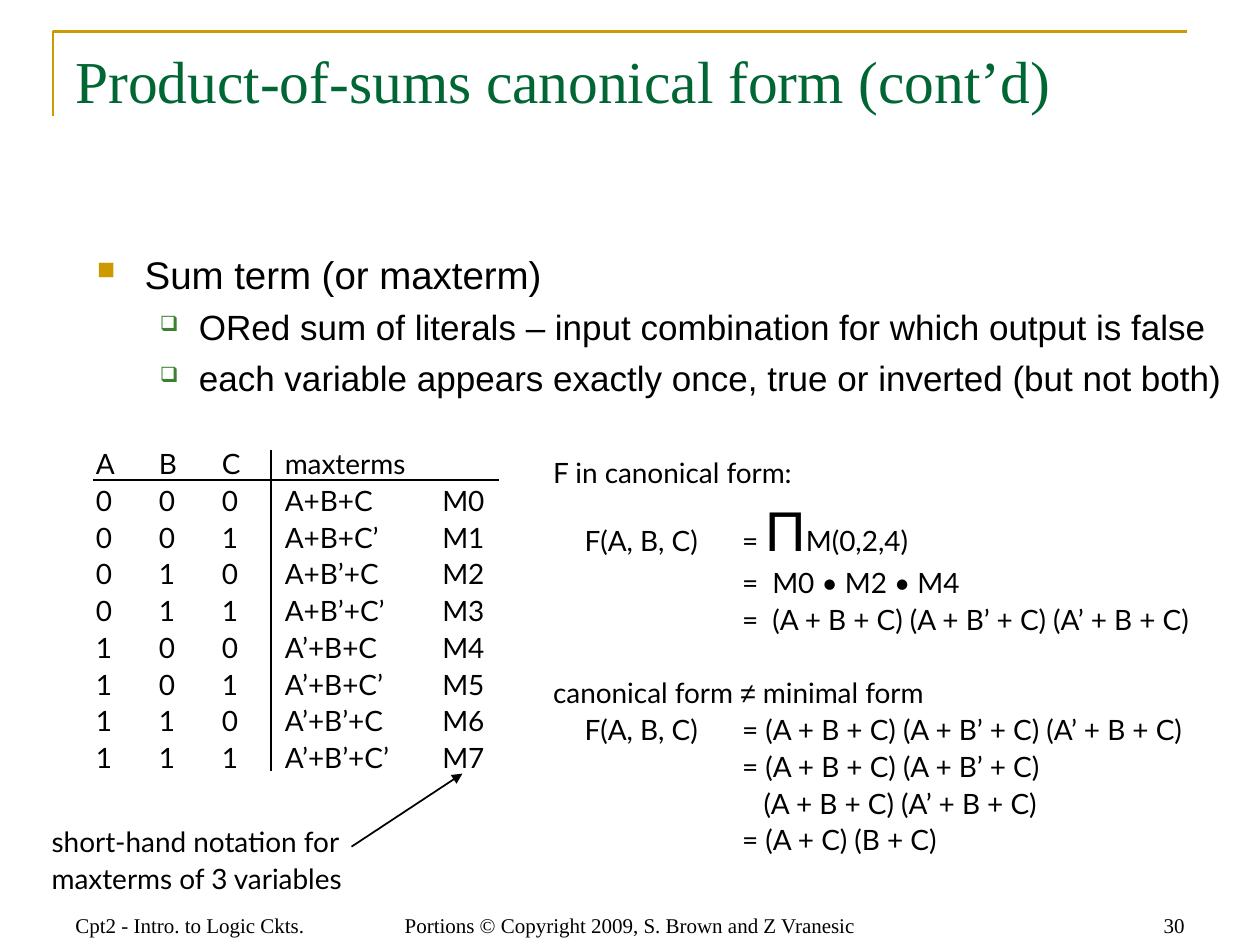
from lxml.etree import SubElement
from pptx import Presentation
from pptx.dml.color import RGBColor
from pptx.enum.shapes import MSO_CONNECTOR as Connector
from pptx.enum.text import MSO_ANCHOR as Anchor, PP_ALIGN as Align
from pptx.oxml.ns import qn
from pptx.util import Inches, Pt

COLORS = {"ink": "000000", "title": "006633", "gold": "CC9900", "green": "3B812F"}
SERIF, SANS, BODY = "Times New Roman", "Arial", "Lato"
LINE_PITCH = 21


def color(name):
    return RGBColor.from_string(COLORS[name])


def add_frame(slide, box, insets=(0.1, 0.05), anchor=Anchor.TOP):
    shape = slide.shapes.add_textbox(*map(Inches, box))
    frame = shape.text_frame
    frame.word_wrap = True
    frame.vertical_anchor = anchor
    frame.margin_left = frame.margin_right = Inches(insets[0])
    frame.margin_top = frame.margin_bottom = Inches(insets[1])
    return frame


def next_paragraph(frame):
    first = frame.paragraphs[0]
    return frame.add_paragraph() if first.runs else first


def add_run(paragraph, text, size, font, ink="ink"):
    run = paragraph.add_run()
    run.text = text
    run.font.size = Pt(size)
    run.font.name = font
    run.font.color.rgb = color(ink)


def add_bullet(paragraph, character, ink, percent, margin, indent):
    properties = paragraph._p.get_or_add_pPr()
    properties.set("marL", str(Inches(margin)))
    properties.set("indent", str(Inches(indent)))
    bullet_color = SubElement(properties, qn("a:buClr"))
    SubElement(bullet_color, qn("a:srgbClr"), val=COLORS[ink])
    SubElement(properties, qn("a:buSzPct"), val=str(percent * 1000))
    SubElement(properties, qn("a:buChar"), char=character)


def add_tabs(paragraph, stops):
    tabs = SubElement(paragraph._p.get_or_add_pPr(), qn("a:tabLst"))
    for stop in stops:
        SubElement(tabs, qn("a:tab"), pos=str(Inches(stop)), algn="l")


def add_line(slide, start, end, arrow=False):
    line = slide.shapes.add_connector(
        Connector.STRAIGHT, *map(Inches, (*start, *end)))
    line.line.color.rgb = color("ink")
    line.line.width = Pt(1)
    if arrow:
        SubElement(line.line._get_or_add_ln(), qn("a:tailEnd"), type="triangle")
    SubElement(line._element.spPr, qn("a:effectLst"))


def add_lines(slide, box, lines, stops=()):
    frame = add_frame(slide, box, (0.02, 0.03))
    for runs, margin, gap in lines:
        paragraph = next_paragraph(frame)
        paragraph.line_spacing = Pt(LINE_PITCH)
        paragraph.space_before = Pt(gap)
        if margin:
            paragraph._p.get_or_add_pPr().set("marL", str(Inches(margin)))
        if stops:
            add_tabs(paragraph, stops)
        for text, size, font in runs:
            add_run(paragraph, text, size, font)


def plain(text, margin=0, gap=0):
    return [(text, 16, BODY)], margin, gap


def add_corner_rule(slide, box):
    left, top, width, height = map(Inches, box)
    builder = slide.shapes.build_freeform(left, top + height)
    builder.add_line_segments([(left, top), (left + width, top)], close=False)
    shape = builder.convert_to_shape()
    shape.shadow.inherit = False
    shape.fill.background()
    shape.line.color.rgb = color("gold")
    shape.line.width = Pt(1.5)


def add_title(slide, box):
    frame = add_frame(slide, box)
    add_run(frame.paragraphs[0], "Product-of-sums canonical form (cont’d)",
            34, SERIF, "title")


def add_footer(slide, box):
    left, top, width, height = box
    side = 2.33
    parts = [
        ("Cpt2 - Intro. to Logic Ckts.", left, side, Align.LEFT),
        ("Portions © Copyright 2009, S. Brown and Z Vranesic",
         left + side, width - 2 * side, Align.CENTER),
        ("30", left + width - side, side, Align.RIGHT),
    ]
    for text, part_left, part_width, alignment in parts:
        frame = add_frame(slide, (part_left, top, part_width, height),
                          anchor=Anchor.BOTTOM)
        frame.paragraphs[0].alignment = alignment
        add_run(frame.paragraphs[0], text, 12, SERIF)


def add_definition(slide, box):
    frame = add_frame(slide, box)
    top_level = (22, 5.5, ("■", "gold", 65, 0.38, -0.38))
    sub_level = (20, 5, ("❑", "green", 60, 0.81, -0.31))
    items = [
        ("Sum term (or maxterm)", top_level),
        ("ORed sum of literals – input combination for which output is false",
         sub_level),
        ("each variable appears exactly once, true or inverted (but not both)",
         sub_level),
    ]
    for text, (size, gap, bullet) in items:
        paragraph = next_paragraph(frame)
        paragraph.level = 1 if bullet[0] == "❑" else 0
        paragraph.space_before = Pt(gap)
        add_bullet(paragraph, *bullet)
        add_run(paragraph, text, size, SANS)


def add_truth_table(slide, box):
    left, top, width, height = box
    rows = ["A\tB\tC\tmaxterms"]
    for number in range(8):
        bits = f"{number:03b}"
        maxterm = "+".join(name + "’" * int(bit) for name, bit in zip("ABC", bits))
        rows.append("\t".join([*bits, maxterm, f"M{number}"]))
    add_line(slide, (left, top + 0.32), (left + 3.22, top + 0.32))
    add_line(slide, (left + 1.41, top + 0.08), (left + 1.41, top + 2.63))
    add_lines(slide, box, map(plain, rows), (0.5, 1, 1.5, 2.75))


def add_shorthand_note(slide, box):
    left, top, width, height = box
    add_lines(slide, box, map(
        plain, ["short-hand notation for", "maxterms of 3 variables"]))
    add_line(slide, (left + 2.4, top + 0.23), (left + 3.28, top - 0.35), arrow=True)


def add_canonical_form(slide, box):
    product = [("\tF(A, B, C)\t= ", 16, BODY), ("Π", 32, SANS),
               ("M(0,2,4)", 16, BODY)]
    comparison = [("canonical form ", 16, BODY), ("≠", 16, SANS),
                  (" minimal form", 16, BODY)]
    lines = [
        plain("F in canonical form:"),
        (product, 0, LINE_PITCH),
        plain("\t\t=\tM0 • M2 • M4"),
        plain("\t\t=\t(A + B + C) (A + B’ + C) (A’ + B + C)"),
        (comparison, 0, LINE_PITCH),
        plain("\tF(A, B, C)\t= (A + B + C) (A + B’ + C) (A’ + B + C)"),
        plain("= (A + B + C) (A + B’ + C)", 1.5),
        plain("(A + B + C) (A’ + B + C)", 1.67),
        plain("= (A + C) (B + C)", 1.5),
    ]
    add_lines(slide, box, lines, (0.25, 1.5, 1.74))


def main():
    presentation = Presentation()
    presentation.slide_width = Inches(10)
    presentation.slide_height = Inches(7.5)
    slide = presentation.slides.add_slide(presentation.slide_layouts[6])
    add_corner_rule(slide, (0.42, 0.25, 9, 0.67))
    add_footer(slide, (0.5, 6.99, 9, 0.5))
    add_title(slide, (0.5, 0.3, 9, 1.25))
    add_truth_table(slide, (0.74, 3.49, 3.61, 2.76))
    add_shorthand_note(slide, (0.39, 6.49, 2.87, 0.72))
    add_canonical_form(slide, (4.37, 3.56, 5.63, 3.06))
    add_definition(slide, (0.67, 1.94, 9.33, 4.94))
    presentation.save("out.pptx")


if __name__ == "__main__":
    main()
